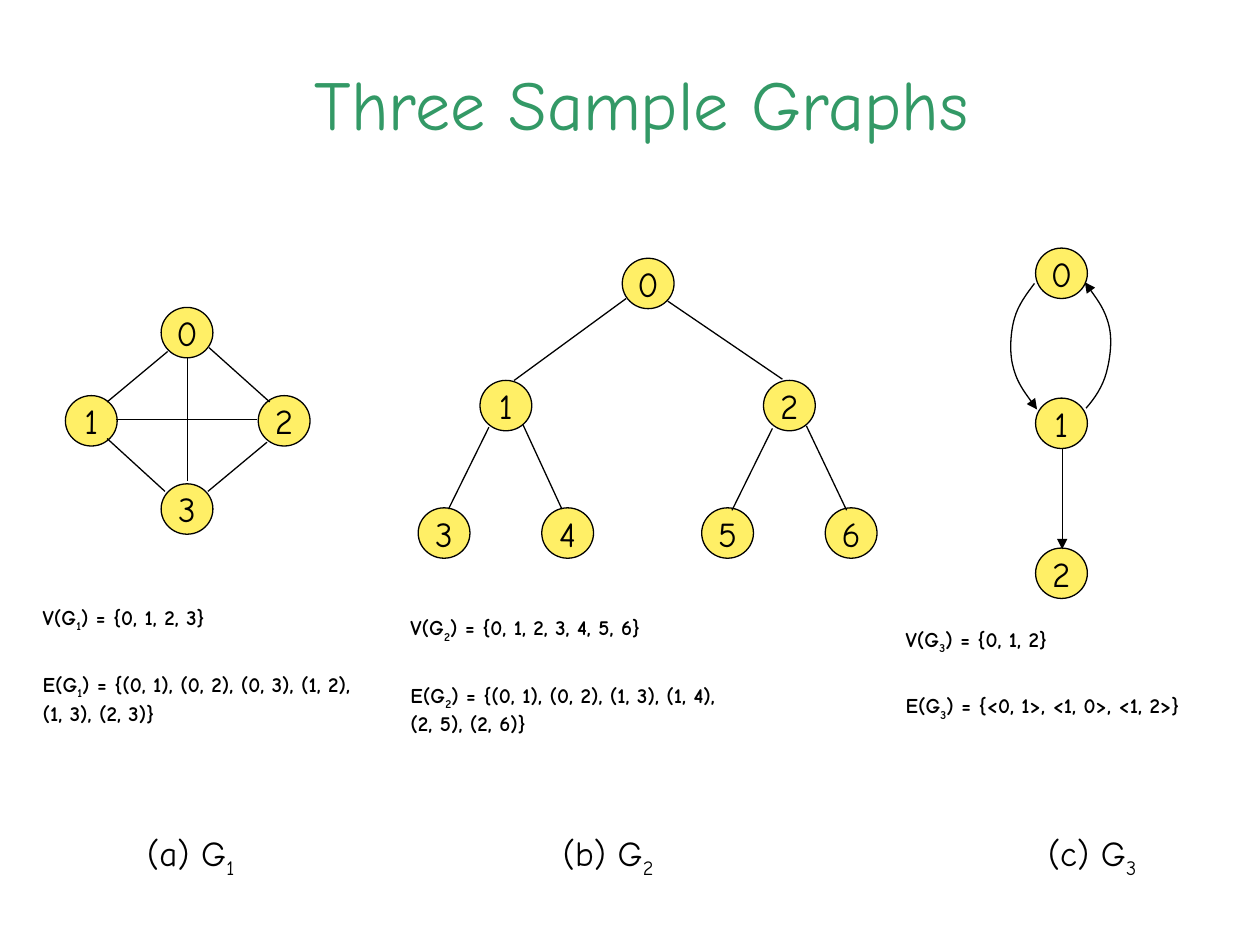
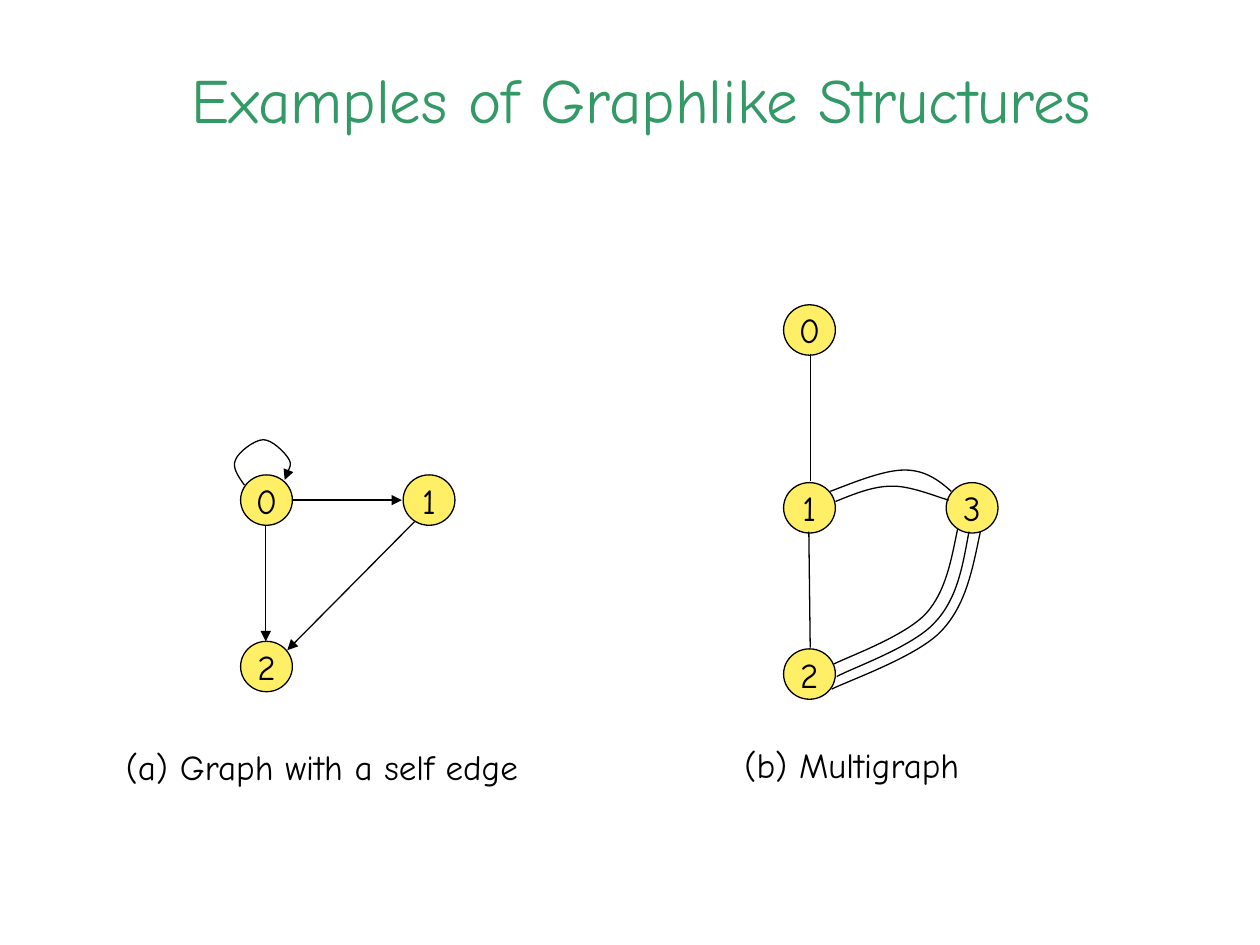
import pptx
import pptx.dml.color
import pptx.enum.shapes
import pptx.enum.text
import pptx.oxml.ns
import pptx.util
from dataclasses import dataclass
from lxml import etree

Pt = pptx.util.Pt


@dataclass(frozen=True)
class Theme:
    font: str = "Comic Neue"
    green: str = "339966"
    yellow: str = "FFEF66"
    black: str = "000000"
    label_size: int = 20
    set_size: int = 12
    line_width: float = 0.75
    node_width: float = 29.6
    node_height: float = 28.8


THEME = Theme()
TITLE_BOX = (54, 31, 625, 52)

# Content in points. Nodes: label -> centre. Edges: x1, y1, x2, y2.
# Curves: start point, then three Bézier points per segment.
# Texts: left, top, width, height, wording; "_" lowers the next character.
COMPLETE_GRAPH = {
    "nodes": {"0": (106.9, 190.1), "3": (106.9, 290.9),
              "1": (52.2, 240.5), "2": (162.4, 240.5)},
    "edges": [(66.2, 239.8, 146.9, 239.8), (107.3, 204.5, 107.3, 275),
              (152.6, 252.7, 118.8, 280.8), (95.8, 200.9, 61.2, 229.7),
              (61.2, 250.6, 94.3, 280.8), (119.5, 198.7, 154.1, 229.7)],
    "caption": (77, 471.6, 74, 34.5, "(a) G_1"),
    "sets": [(17.3, 342, 134, 24, "V(G_1) = {0, 1, 2, 3}"),
             (17.3, 380.2, 194, 38,
              "E(G_1) = {(0, 1), (0, 2), (0, 3), (1, 2), (1, 3), (2, 3)}")],
}
TREE = {
    "nodes": {"0": (370.4, 162), "1": (289.1, 231.8), "2": (451.1, 231.8),
              "3": (253.8, 304.6), "4": (324.4, 304.6),
              "5": (415.8, 304.6), "6": (486.4, 304.6)},
    "edges": [(357.8, 170.6, 293.8, 217.4), (381.6, 172.1, 447.1, 216.7),
              (279.4, 244.1, 256.3, 290.9), (298.8, 242.6, 321.1, 290.9),
              (441.4, 244.8, 418.3, 291.6), (460.8, 243.4, 483.8, 291.6)],
    "caption": (314.6, 471.6, 74, 34.5, "(b) G_2"),
    "sets": [(227.5, 347.8, 194, 24, "V(G_2) = {0, 1, 2, 3, 4, 5, 6}"),
             (227.5, 386.4, 194, 38,
              "E(G_2) = {(0, 1), (0, 2), (1, 3), (1, 4), (2, 5), (2, 6)}")],
}
DIRECTED_GRAPH = {
    "directed": True,
    "nodes": {"0": (606.6, 156.2), "1": (606.6, 241.9), "2": (606.6, 327.6)},
    "edges": [(607, 256.3, 607, 313.9)],
    "curves": [
        [(591.1, 162), (586.8, 167.8), (581.8, 174.2), (579.6, 182.2),
         (577.4, 190.1), (576.7, 201.6), (578.9, 209.5),
         (581, 218.2), (586.8, 226.1), (592.6, 234)],
        [(620.6, 233.3), (625.7, 227.5), (630, 221), (632.2, 213.1),
         (634.3, 205.2), (635.8, 194.4), (633.6, 185.8),
         (631.4, 177.1), (625.7, 169.2), (619.9, 161.3)],
    ],
    "caption": (591.8, 471.6, 74, 34.5, "(c) G_3"),
    "sets": [(510.5, 354.2, 194, 24, "V(G_3) = {0, 1, 2}"),
             (510.5, 392.4, 194, 24, "E(G_3) = {<0, 1>, <1, 0>, <1, 2>}")],
}
SELF_EDGE_GRAPH = {
    "directed": True,
    "nodes": {"0": (152.3, 285.8), "2": (152.3, 380.9), "1": (245.2, 285.8)},
    "edges": [(151.9, 300.2, 151.9, 366.5), (167, 285.8, 229.7, 285.8),
              (236.9, 298.1, 164.2, 371.5)],
    "curves": [
        [(139.7, 277.2), (136.1, 272.2), (132.5, 267.1), (134.6, 262.8),
         (136.1, 258.5), (145.4, 251.3), (150.5, 251.3),
         (155.5, 251.3), (162.7, 258.5), (164.9, 262.1),
         (167, 265.7), (163.4, 272.2), (162.7, 274.3)],
    ],
    "caption": (64.8, 422.6, 259, 31.7, "(a) Graph with a self edge"),
}
MULTIGRAPH = {
    "nodes": {"1": (462.6, 290.2), "2": (462.6, 385.2),
              "3": (555.5, 290.2), "0": (462.6, 188.6)},
    "edges": [(463, 202.3, 463, 275), (462.2, 303.8, 463, 370.1)],
    "curves": [
        [(474.5, 280.8), (489.6, 275), (505.4, 268.6), (517, 268.6),
         (528.5, 268.6), (536.4, 274.3), (543.6, 280.8)],
        [(477.4, 286.6), (488.2, 282.2), (499, 277.9), (509, 277.9),
         (519.8, 277.2), (536.4, 284.4), (542.2, 285.8)],
        [(547.2, 302.4), (543.6, 319.7), (540.7, 337.7), (529.2, 350.6),
         (517, 363.6), (485.3, 375.1), (476.6, 379.4)],
        [(553.7, 303.8), (550.1, 323.3), (547.2, 342), (534.2, 355.7),
         (522, 369.4), (487.4, 381.6), (478.1, 386.6)],
        [(560.2, 303.8), (555.8, 324.7), (552.2, 345.6), (537.8, 360.7),
         (524.2, 375.1), (485.3, 388.8), (475.2, 393.8)],
    ],
    "caption": (418.3, 421.2, 169, 31.7, "(b) Multigraph"),
}
PAGES = [
    ("Three Sample Graphs", 40, [COMPLETE_GRAPH, TREE, DIRECTED_GRAPH]),
    ("Examples of Graphlike Structures", 36, [SELF_EDGE_GRAPH, MULTIGRAPH]),
]


def rgb(code):
    return pptx.dml.color.RGBColor.from_string(code)


def write(frame, text, size, color=THEME.black, bold=False, centred=False):
    """Write one paragraph, lowering each character that follows "_"."""
    para = frame.paragraphs[0]
    para.font.name, para.font.size, para.font.bold = THEME.font, Pt(size), bold
    para.font.color.rgb = rgb(color)
    if centred:
        para.alignment = pptx.enum.text.PP_ALIGN.CENTER
    first, *rest = text.split("_")
    para.add_run().text = first
    for piece in rest:
        subscript = para.add_run()
        subscript.text = piece[0]
        subscript._r.get_or_add_rPr().set("baseline", "-25000")
        if piece[1:]:
            para.add_run().text = piece[1:]
    return para


def add_text(page, left, top, width, height, text, size, **style):
    box = page.shapes.add_textbox(Pt(left), Pt(top), Pt(width), Pt(height))
    box.text_frame.word_wrap = True
    return write(box.text_frame, text, size, **style)


def style_line(shape, arrow=False):
    shape.line.color.rgb = rgb(THEME.black)
    shape.line.width = Pt(THEME.line_width)
    if arrow:
        outline = shape.line._get_or_add_ln()
        etree.SubElement(outline, pptx.oxml.ns.qn("a:tailEnd"), type="triangle")


def add_node(page, label, x, y):
    width, height = THEME.node_width, THEME.node_height
    node = page.shapes.add_shape(
        pptx.enum.shapes.MSO_SHAPE.OVAL,
        Pt(x - width / 2), Pt(y - height / 2), Pt(width), Pt(height))
    node.shadow.inherit = False
    node.fill.solid()
    node.fill.fore_color.rgb = rgb(THEME.yellow)
    style_line(node)
    frame = node.text_frame
    frame.word_wrap = False
    frame.vertical_anchor = pptx.enum.text.MSO_ANCHOR.MIDDLE
    write(frame, label, THEME.label_size, centred=True)


def add_edge(page, ends, arrow):
    edge = page.shapes.add_connector(
        pptx.enum.shapes.MSO_CONNECTOR.STRAIGHT, *map(Pt, ends))
    style_line(edge, arrow)
    etree.SubElement(edge._element.spPr, pptx.oxml.ns.qn("a:effectLst"))


def add_curve(page, points, arrow):
    start, *others = [(Pt(x), Pt(y)) for x, y in points]
    builder = page.shapes.build_freeform(*start)
    builder.add_line_segments(others, close=False)
    curve = builder.convert_to_shape()
    # Turn every three straight segments into one Bézier segment
    segments = list(curve._element.iter(pptx.oxml.ns.qn("a:lnTo")))
    for index in range(0, len(segments), 3):
        bezier = etree.Element(pptx.oxml.ns.qn("a:cubicBezTo"))
        segments[index].addprevious(bezier)
        for segment in segments[index:index + 3]:
            bezier.append(segment[0])
            segment.getparent().remove(segment)
    curve.shadow.inherit = False
    curve.fill.background()
    style_line(curve, arrow)


def add_graph(page, graph):
    arrow = graph.get("directed", False)
    for label, centre in graph["nodes"].items():
        add_node(page, label, *centre)
    for ends in graph["edges"]:
        add_edge(page, ends, arrow)
    for points in graph.get("curves", []):
        add_curve(page, points, arrow)
    caption = add_text(page, *graph["caption"], THEME.label_size)
    caption.space_before = Pt(12.5)
    for entry in graph.get("sets", []):
        para = add_text(page, *entry, THEME.set_size, bold=True)
        para.space_before = Pt(7.5)


def main():
    deck = pptx.Presentation()
    deck.slide_width, deck.slide_height = Pt(720), Pt(540)
    for title, size, graphs in PAGES:
        page = deck.slides.add_slide(deck.slide_layouts[6])
        add_text(page, *TITLE_BOX, title, size, color=THEME.green, centred=True)
        for graph in graphs:
            add_graph(page, graph)
    deck.save("out.pptx")


if __name__ == "__main__":
    main()
